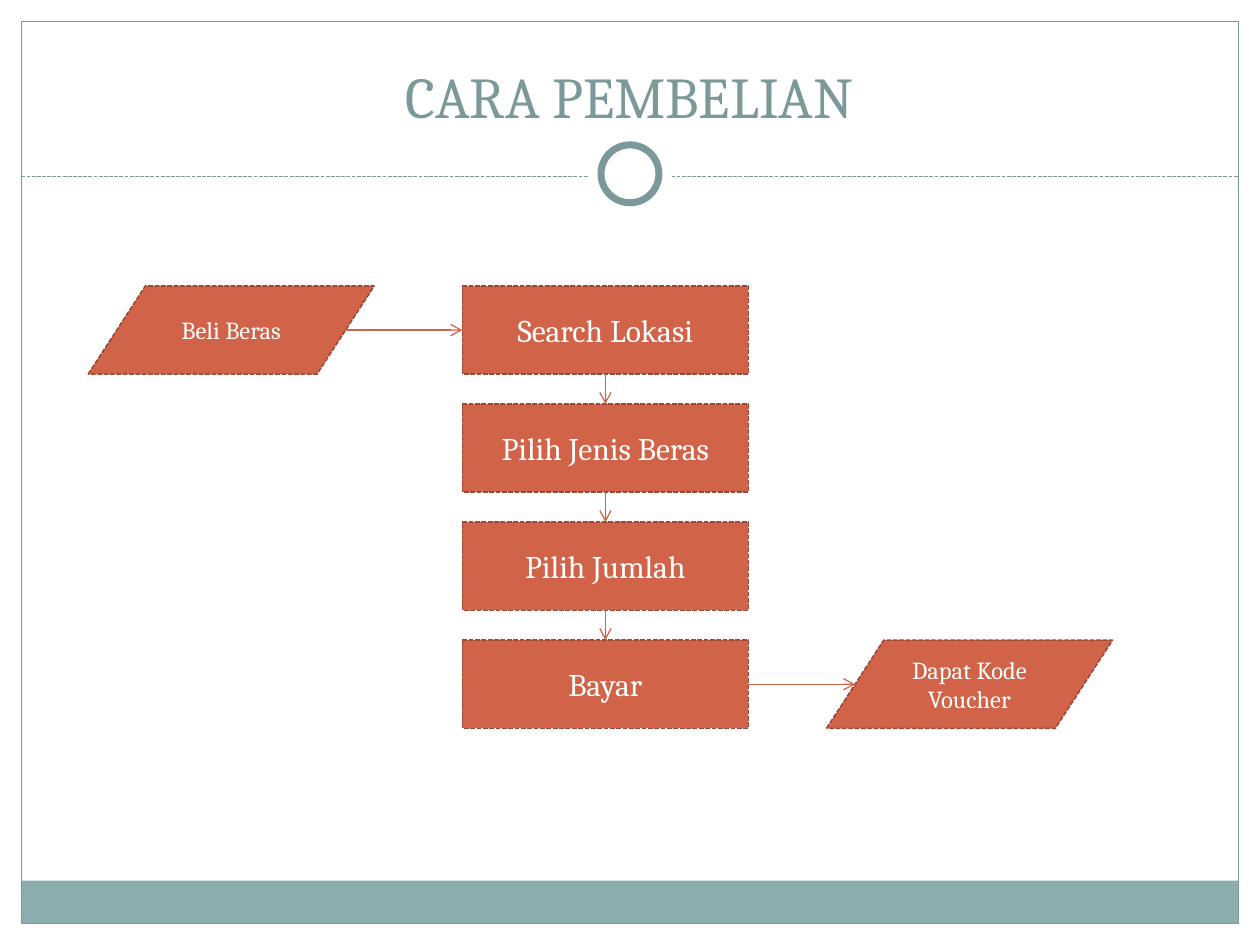
import pptx
import pptx.util
import pptx.dml.color
import pptx.enum.dml
import pptx.enum.shapes
import pptx.enum.text
import pptx.oxml
import pptx.oxml.ns

Inches = pptx.util.Inches
Pt = pptx.util.Pt
KIND = pptx.enum.shapes.MSO_SHAPE
DASH = pptx.enum.dml.MSO_LINE.SQUARE_DOT
ALIGN = pptx.enum.text.PP_ALIGN
ANCHOR = pptx.enum.text.MSO_ANCHOR

TITLE = "CARA PEMBELIAN"
START = "Beli Beras"
STEPS = ["Search Lokasi", "Pilih Jenis Beras", "Pilih Jumlah", "Bayar"]
END = "Dapat Kode Voucher"

THEME = {
    "font": "Cambria",
    "paper": "FFFFFF", "trim": "7C999A", "band": "8CADAE",
    "box": "D16349", "edge": "9B4936",
    "title": 33, "step": 18, "port": 14,
    "thin": 0.75, "rim": 0.9, "ring": 4,
}

WIDE, HIGH = 10, 7.5
BOX_W, BOX_H = 2.27, 0.7
TOP, PITCH = 2.27, 0.937
STEP_X, START_X, END_X = 3.67, 0.7, 6.56
SLANT = 0.1 * BOX_W
EDGE, RULE_Y, RING_Y = 0.17, 1.4, 1.38


def color(name):
    return pptx.dml.color.RGBColor.from_string(THEME[name])


def style(line, name, width, dash=None):
    line.color.rgb = color(name)
    line.width = Pt(THEME[width])
    if dash:
        line.dash_style = dash


def write(frame, text, size, name, anchor):
    frame.text = text
    frame.word_wrap = True
    frame.vertical_anchor = anchor
    para = frame.paragraphs[0]
    para.alignment = ALIGN.CENTER
    para.font.name = THEME["font"]
    para.font.size = Pt(THEME[size])
    para.font.color.rgb = color(name)


def draw(slide, kind, left, top, width, height, fill=None, line=None, dash=None):
    shape = slide.shapes.add_shape(
        kind, Inches(left), Inches(top), Inches(width), Inches(height))
    shape.shadow.inherit = False
    if fill:
        shape.fill.solid()
        shape.fill.fore_color.rgb = color(fill)
    else:
        shape.fill.background()
    if line:
        style(shape.line, *line, dash)
    else:
        shape.line.fill.background()
    return shape


def node(slide, kind, left, top, text, size):
    shape = draw(slide, kind, left, top, BOX_W, BOX_H, "box", ("edge", "rim"), DASH)
    write(shape.text_frame, text, size, "paper", ANCHOR.MIDDLE)
    return shape


def link(slide, x1, y1, x2, y2, name, dash=None):
    wire = slide.shapes.add_connector(
        pptx.enum.shapes.MSO_CONNECTOR.STRAIGHT,
        Inches(x1), Inches(y1), Inches(x2), Inches(y2))
    style(wire.line, name, "thin", dash)
    pptx.oxml.ns.qn("a:effectLst")
    wire._element.spPr.append(pptx.oxml.parse_xml(
        "<a:effectLst %s/>" % pptx.oxml.ns.nsdecls("a")))
    return wire


def arrow(slide, x1, y1, x2, y2):
    wire = link(slide, x1, y1, x2, y2, "box")
    wire.line._get_or_add_ln().append(pptx.oxml.parse_xml(
        '<a:tailEnd type="arrow" %s/>' % pptx.oxml.ns.nsdecls("a")))
    return wire


def ring(slide, size, line=None):
    draw(slide, KIND.OVAL, (WIDE - size) / 2, RING_Y - size / 2, size, size,
         "paper", line)


def trim(slide):
    span = WIDE - 2 * EDGE
    draw(slide, KIND.RECTANGLE, EDGE, 6.99, span, 0.34, "band")
    draw(slide, KIND.RECTANGLE, EDGE, EDGE, span, HIGH - 2 * EDGE,
         line=("trim", "thin"))
    link(slide, EDGE, RULE_Y, WIDE - EDGE, RULE_Y, "trim", DASH)
    ring(slide, 0.67)
    ring(slide, 0.46, ("trim", "ring"))


def flow(slide):
    tops = [TOP + i * PITCH for i in range(len(STEPS))]
    boxes = [node(slide, KIND.FLOWCHART_PROCESS, STEP_X, y, text, "step")
             for y, text in zip(tops, STEPS)]
    node(slide, KIND.FLOWCHART_DATA, START_X, tops[0], START, "port")
    node(slide, KIND.FLOWCHART_DATA, END_X, tops[-1], END, "port")

    mid = tops[0] + BOX_H / 2
    wire = arrow(slide, START_X + BOX_W - SLANT, mid, STEP_X, mid)
    wire.end_connect(boxes[0], 1)
    axis = STEP_X + BOX_W / 2
    for i in range(len(boxes) - 1):
        wire = arrow(slide, axis, tops[i] + BOX_H, axis, tops[i + 1])
        wire.begin_connect(boxes[i], 2)
        wire.end_connect(boxes[i + 1], 0)
    mid = tops[-1] + BOX_H / 2
    wire = arrow(slide, STEP_X + BOX_W, mid, END_X + SLANT, mid)
    wire.begin_connect(boxes[-1], 3)


def main():
    deck = pptx.Presentation()
    deck.slide_width, deck.slide_height = Inches(WIDE), Inches(HIGH)
    slide = deck.slides.add_slide(deck.slide_layouts[5])
    trim(slide)
    head = slide.shapes.title
    head.left, head.top = Inches(0.33), Inches(0.25)
    head.width, head.height = Inches(9.33), Inches(0.83)
    write(head.text_frame, TITLE, "title", "trim", ANCHOR.BOTTOM)
    flow(slide)
    deck.save("out.pptx")


if __name__ == "__main__":
    main()
